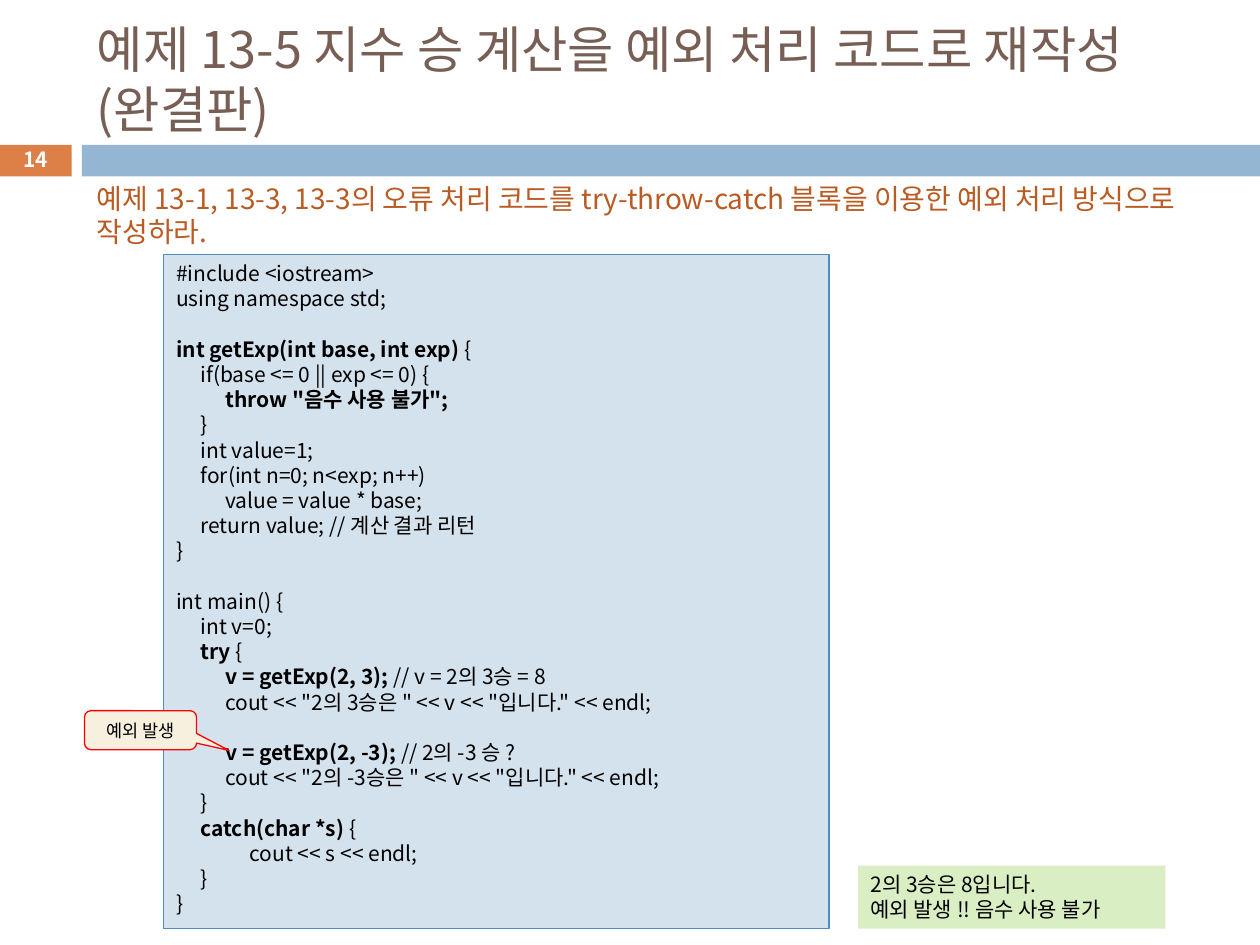
from lxml.etree import SubElement
from pptx import Presentation
from pptx.dml.color import RGBColor
from pptx.enum.shapes import MSO_SHAPE as Shape
from pptx.enum.text import MSO_ANCHOR as Anchor, PP_ALIGN as Align
from pptx.oxml.ns import qn
from pptx.util import Inches, Pt

FONT = "Noto Sans CJK KR"
BLACK = RGBColor(0x00, 0x00, 0x00)
WHITE = RGBColor(0xFF, 0xFF, 0xFF)
BROWN = RGBColor(0x77, 0x5F, 0x55)
ORANGE = RGBColor(0xDD, 0x80, 0x47)
RUST = RGBColor(0xB9, 0x5B, 0x22)
BLUE = RGBColor(0x94, 0xB6, 0xD2)
PALE_BLUE = RGBColor(0xD4, 0xE2, 0xED)
EDGE_BLUE = RGBColor(0x55, 0x8B, 0xB8)
GREEN = RGBColor(0xDA, 0xEE, 0xC4)
CREAM = RGBColor(0xF7, 0xF0, 0xDE)
RED = RGBColor(0xFF, 0x00, 0x00)

LINE_RATIO = 1.2
TAB_STEP = 14
TAB_COUNT = 3
BOLD_MARK = "**"

TITLE = "예제 13-5 지수 승 계산을 예외 처리 코드로 재작성(완결판)"
TASK = ("예제 13-1, 13-3, 13-3의 오류 처리 코드를 try-throw-catch 블록을 "
        "이용한 예외 처리 방식으로 작성하라.")
OUTPUT = "2의 3승은 8입니다.\n예외 발생 !! 음수 사용 불가"
CODE = """#include <iostream>
using namespace std;

**int getExp(int base, int exp) **{
	if(base <= 0 || exp <= 0) {
		**throw "음수 사용 불가";**
	}
	int value=1;
	for(int n=0; n<exp; n++)
		value = value * base;
	return value; // 계산 결과 리턴
}

int main() {
	int v=0;
	**try **{
		**v = getExp(2, 3); **// v = 2의 3승 = 8
		cout << "2의 3승은 " << v << "입니다." << endl;

		**v = getExp(2, -3); **// 2의 -3 승 ?
		cout << "2의 -3승은 " << v << "입니다." << endl;
	}
	**catch(char *s) **{
			cout << s << endl;
	}
}"""


def add_tabs(para):
    tabs = SubElement(para._p.get_or_add_pPr(), qn("a:tabLst"))
    for number in range(1, TAB_COUNT + 1):
        SubElement(tabs, qn("a:tab"), pos=str(Pt(TAB_STEP * number)), algn="l")


def write(box, text, size=12, color=BLACK, align=Align.LEFT, anchor=Anchor.TOP,
          bold=False, tabs=False):
    frame = box.text_frame
    frame.word_wrap = True
    frame.vertical_anchor = anchor
    pitch = size * LINE_RATIO
    para = frame.paragraphs[0]
    for block_index, block in enumerate(text.split("\n\n")):
        for line_index, line in enumerate(block.split("\n")):
            if block_index or line_index:
                para = frame.add_paragraph()
            if tabs:
                add_tabs(para)
            para.alignment = align
            para.line_spacing = Pt(pitch)
            if block_index and not line_index:
                para.space_before = Pt(pitch)
            for part_index, part in enumerate(line.split(BOLD_MARK)):
                if not part:
                    continue
                span = para.add_run()
                span.text = part
                span.font.name = FONT
                span.font.size = Pt(size)
                span.font.color.rgb = color
                span.font.bold = bold or part_index % 2 == 1
                SubElement(span._r.get_or_add_rPr(), qn("a:ea"), typeface=FONT)


def add_panel(page, place, fill, line=None, kind=Shape.RECTANGLE):
    panel = page.shapes.add_shape(kind, *map(Inches, place))
    panel.shadow.inherit = False
    panel.fill.solid()
    panel.fill.fore_color.rgb = fill
    if line is None:
        panel.line.fill.background()
    else:
        panel.line.color.rgb = line
        panel.line.width = Pt(0.75)
    return panel


def add_label(page, place, text, **look):
    write(page.shapes.add_textbox(*map(Inches, place)), text, **look)


def main():
    deck = Presentation()
    deck.slide_width, deck.slide_height = Inches(10), Inches(7.5)
    page = deck.slides.add_slide(deck.slide_layouts[6])

    add_panel(page, (0, 1.15, 0.57, 0.25), ORANGE)
    add_panel(page, (0.65, 1.15, 9.35, 0.25), BLUE)
    add_label(page, (0.67, 0.25, 8.92, 0.74), TITLE,
              size=28.8, color=BROWN, anchor=Anchor.MIDDLE)
    add_label(page, (0, 1.13, 0.57, 0.27), "14", size=11.9, color=WHITE,
              align=Align.CENTER, anchor=Anchor.MIDDLE, bold=True)

    code_box = add_panel(page, (1.3, 2.02, 5.28, 5.35), PALE_BLUE, EDGE_BLUE)
    write(code_box, CODE, tabs=True)
    output_box = add_panel(page, (6.81, 6.87, 2.44, 0.5), GREEN)
    write(output_box, OUTPUT)
    add_label(page, (0.67, 1.39, 9.06, 0.64), TASK, size=16, color=RUST)

    callout = add_panel(page, (0.67, 5.64, 0.89, 0.31), CREAM, RED,
                        Shape.ROUNDED_RECTANGULAR_CALLOUT)
    for index, value in enumerate((0.79, 0.52, 0.17)):
        callout.adjustments[index] = value
    write(callout, "예외 발생", size=10, align=Align.CENTER, anchor=Anchor.MIDDLE)

    deck.save("out.pptx")


if __name__ == "__main__":
    main()
